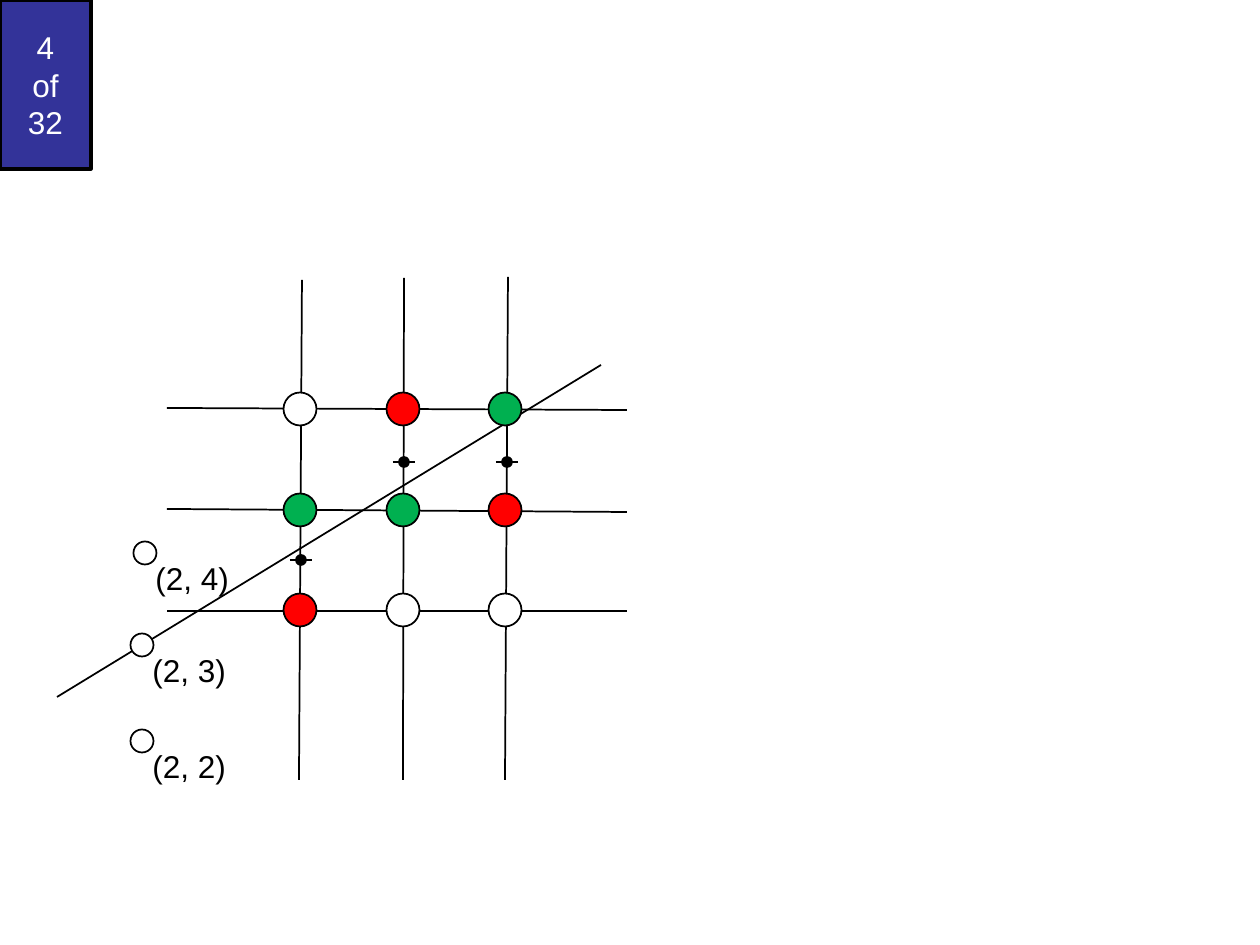
"""Build the midpoint line-drawing slide: pixel grid, line and labelled test points."""
from dataclasses import dataclass

from lxml import etree
from pptx import Presentation
from pptx import util as u
from pptx.dml.color import RGBColor
from pptx.enum import shapes, text
from pptx.oxml.ns import qn

SCALE = 914400 / 126


@dataclass(frozen=True)
class Theme:
    ink: str = "000000"
    paper: str = "FFFFFF"
    counter: str = "333399"
    chosen: str = "00B050"
    rejected: str = "FF0000"
    font: str = "Arial"
    size: int = 18
    thin: int = 1
    thick: int = 2


@dataclass(frozen=True)
class Line:
    x1: int
    y1: int
    x2: int
    y2: int


@dataclass(frozen=True)
class TestPoint:
    label: str
    x: int
    y: int


T = Theme()
CIRCLE, DOT, RING, TICK = 33, 10, 23, 22
COLUMNS = (300, 403, 505)
ROWS = (409, 510, 610)
PIXEL_FILLS = (
    (T.paper, T.rejected, T.chosen),
    (T.chosen, T.chosen, T.rejected),
    (T.rejected, T.paper, T.paper),
)
LINES = (
    Line(57, 697, 601, 365),
    Line(627, 512, 167, 509),
    Line(627, 611, 167, 611),
    Line(627, 410, 167, 408),
    Line(302, 280, 299, 780),
    Line(404, 278, 403, 780),
    Line(508, 277, 505, 780),
)
MIDPOINTS = ((301, 560), (404, 462), (507, 462))
TEST_POINTS = (
    TestPoint("(2, 3)", 142, 645),
    TestPoint("(2, 4)", 145, 553),
    TestPoint("(2, 2)", 142, 741),
)


def px(n: float) -> u.Emu:
    """Turn pixels into EMU."""
    return u.Emu(round(n * SCALE))


def rgb(value: str) -> RGBColor:
    """Turn a hex string into a colour."""
    return RGBColor.from_string(value)


def add_line(s, line: Line) -> None:
    """Draw a thin straight line without a shadow."""
    sp = s.shapes.add_connector(
        shapes.MSO_CONNECTOR.STRAIGHT, px(line.x1), px(line.y1), px(line.x2), px(line.y2))
    sp.line.color.rgb = rgb(T.ink)
    sp.line.width = u.Pt(T.thin)
    etree.SubElement(sp._element.spPr, qn("a:effectLst"))


def add_shape(s, kind, x: float, y: float, w: int, h: int, fill: str, weight: int):
    """Draw a filled preset shape with an ink outline."""
    sp = s.shapes.add_shape(kind, px(x), px(y), px(w), px(h))
    sp.shadow.inherit = False
    sp.fill.solid()
    sp.fill.fore_color.rgb = rgb(fill)
    sp.line.color.rgb = rgb(T.ink)
    sp.line.width = u.Pt(weight)
    return sp


def add_circle(s, x: int, y: int, d: int, fill: str) -> None:
    """Draw a circle around its centre."""
    add_shape(s, shapes.MSO_SHAPE.OVAL, x - d / 2, y - d / 2, d, d, fill, T.thin)


def write(sp, content: str, color: str, align, anchor) -> None:
    """Fill a shape with one formatted paragraph."""
    tf = sp.text_frame
    frame = {"word_wrap": True, "vertical_anchor": anchor}
    for name, value in frame.items():
        setattr(tf, name, value)
    p = tf.paragraphs[0]
    p.text = content
    p.alignment = align
    for r in p.runs:
        for name, value in {"name": T.font, "size": u.Pt(T.size)}.items():
            setattr(r.font, name, value)
        r.font.color.rgb = rgb(color)


def add_test_point(s, point: TestPoint) -> None:
    """Draw a ring with its coordinates below and to the right."""
    sp = s.shapes.add_textbox(px(point.x - 2), px(point.y), px(100), px(50))
    write(sp, point.label, T.ink, text.PP_ALIGN.LEFT, text.MSO_ANCHOR.TOP)
    add_circle(s, point.x, point.y, RING, T.paper)


def main() -> None:
    """Build and save the slide."""
    prs = Presentation()
    prs.slide_width, prs.slide_height = px(1260), px(945)
    s = prs.slides.add_slide(prs.slide_layouts[6])

    sp = add_shape(s, shapes.MSO_SHAPE.RECTANGLE, 0, 0, 91, 169, T.counter, T.thick)
    write(sp, "4\nof\n32", T.paper, text.PP_ALIGN.CENTER, text.MSO_ANCHOR.MIDDLE)

    for line in LINES:
        add_line(s, line)
    for y, fills in zip(ROWS, PIXEL_FILLS):
        for x, fill in zip(COLUMNS, fills):
            add_circle(s, x, y, CIRCLE, fill)
    for x, y in MIDPOINTS:
        add_line(s, Line(x - TICK // 2, y, x + TICK // 2, y))
        add_circle(s, x, y, DOT, T.ink)
    for point in TEST_POINTS:
        add_test_point(s, point)

    prs.save("out.pptx")


if __name__ == "__main__":
    main()
